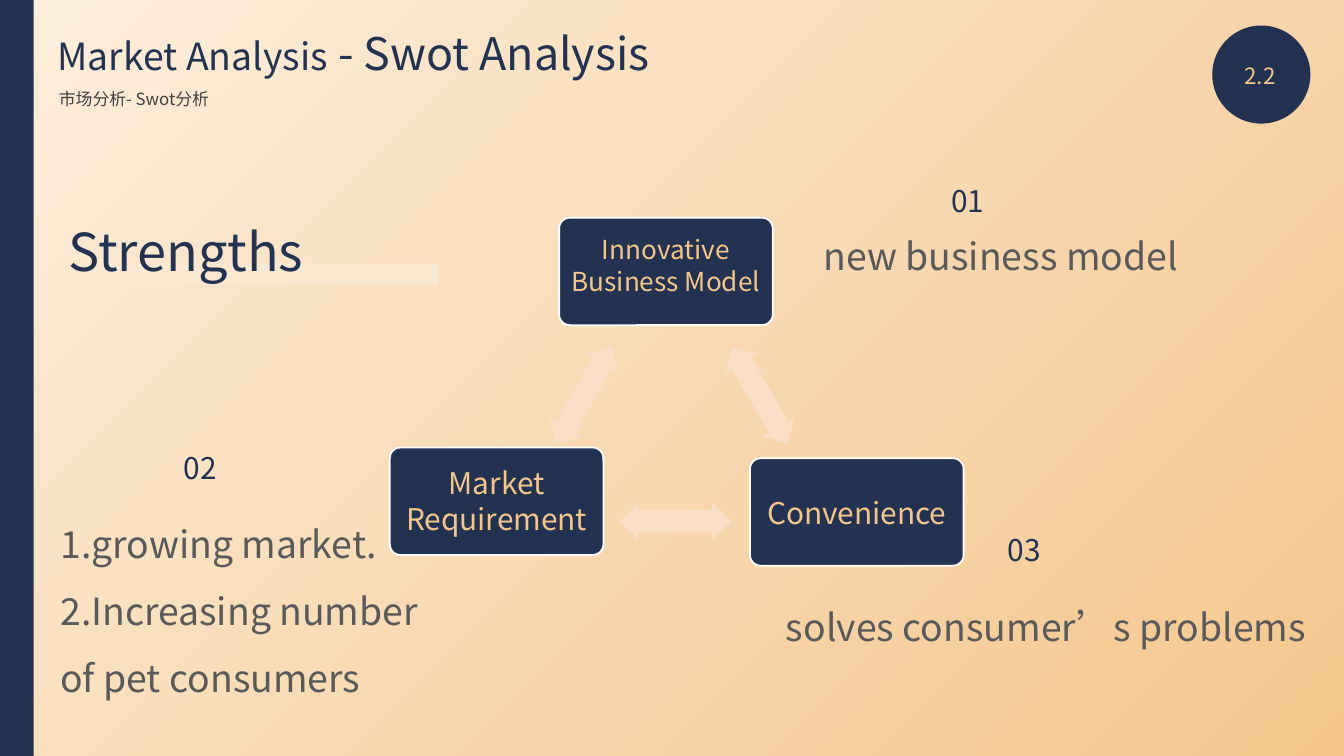
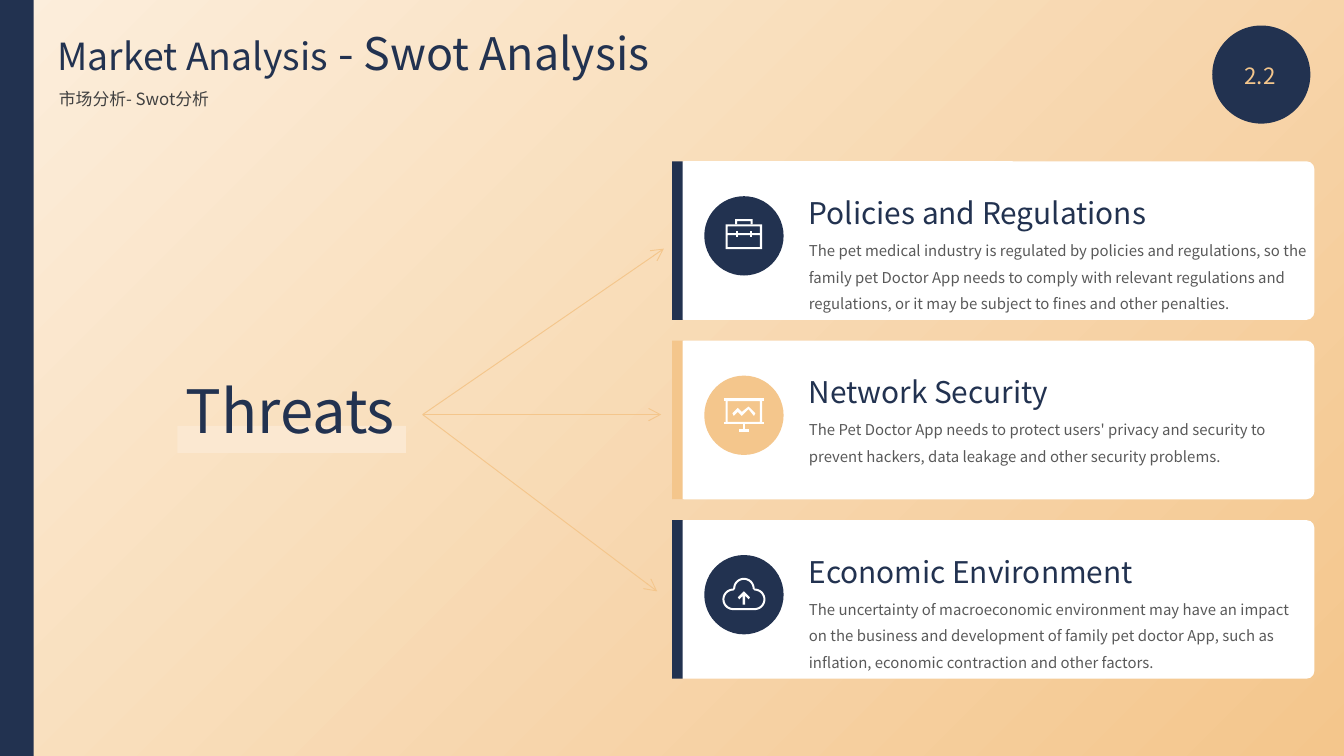
from math import cos, radians, sin

from lxml.etree import SubElement
from pptx import Presentation
from pptx.dml.color import RGBColor
from pptx.enum.shapes import MSO_CONNECTOR, MSO_SHAPE
from pptx.enum.text import PP_ALIGN
from pptx.oxml.ns import qn
from pptx.util import Inches, Pt

RECT, OVAL = MSO_SHAPE.RECTANGLE, MSO_SHAPE.OVAL
ROUND, ARROW = MSO_SHAPE.ROUNDED_RECTANGLE, MSO_SHAPE.LEFT_RIGHT_ARROW
LEFT, MID, RIGHT, FULL = PP_ALIGN.LEFT, PP_ALIGN.CENTER, PP_ALIGN.RIGHT, PP_ALIGN.JUSTIFY
STRAIGHT = MSO_CONNECTOR.STRAIGHT
FONT = "Noto Sans CJK SC"
HEX = {
    "navy": "223250",
    "gold": "F4C68C",
    "cream": "FCEEDC",
    "band": "FBE8D1",
    "peach": "F8DFC5",
    "white": "FFFFFF",
    "grey": "595959",
    "dark": "404040",
}
INK = {name: RGBColor.from_string(code) for name, code in HEX.items()}

deck = Presentation()
deck.slide_width, deck.slide_height = Inches(10), Inches(5.625)
CELL = deck.slide_width // 100
ROWS = 56.25


def draw(slide, kind, left, top, width, height, fill):
    shape = slide.shapes.add_shape(
        kind, *(round(n * CELL) for n in (left, top, width, height)))
    shape.shadow.inherit = False
    shape.fill.solid()
    shape.fill.fore_color.rgb = INK[fill]
    shape.line.fill.background()
    return shape


def write(slide, left, top, width, height, runs, size, ink, align=LEFT, space=None):
    box = slide.shapes.add_textbox(
        *(round(n * CELL) for n in (left, top, width, height)))
    box.text_frame.word_wrap = True
    para = box.text_frame.paragraphs[0]
    para.alignment = align
    para.line_spacing = space
    for text, own in runs if isinstance(runs, list) else [(runs, None)]:
        run = para.add_run()
        run.text = text
        if own:
            run.font.size = Pt(own)
    para.font.name = FONT
    para.font.size = Pt(size)
    para.font.color.rgb = INK[ink]
    SubElement(para._p.pPr.find(qn("a:defRPr")), qn("a:ea")).set("typeface", FONT)


pages = []
for _ in range(2):
    page = deck.slides.add_slide(deck.slide_layouts[6])
    back = page.background.fill
    back.gradient()
    back.gradient_angle = 135
    for stop, name, place in zip(back.gradient_stops, ("gold", "cream"), (0, 1)):
        stop.color.rgb = INK[name]
        stop.position = place
    draw(page, RECT, 0, 0, 2.5, ROWS, "navy")
    draw(page, OVAL, 90.2, 1.9, 7.3, 7.3, "navy")
    write(page, 90, 4.1, 7.5, 3, "2.2", 12, "gold", MID)
    title = [("Market Analysis", 20), (" - Swot Analysis", None)]
    write(page, 3.3, 1.4, 84, 5, title, 24, "navy")
    write(page, 3.4, 6.1, 17, 2.5, "市场分析- Swot分析", 9, "dark", FULL)
    pages.append(page)
plus, risk = pages

draw(plus, RECT, 4.5, 19.6, 28.1, 1.6, "band")
write(plus, 4.1, 15.8, 35.9, 5.7, "Strengths", 28, "navy")

nodes = [
    (41.6, 16.2, 0.7, 14, "Innovative Business Model"),
    (55.8, 34.1, 2.2, 16, "Convenience"),
    (29, 33.3, 0.8, 16, "Market Requirement"),
]
for left, top, drop, size, label in nodes:
    node = draw(plus, ROUND, left, top, 15.9, 8, "navy")
    node.adjustments[0] = 0.1
    node.line.color.rgb = INK["white"]
    node.line.width = Pt(1)
    write(plus, left - 1.65, top + drop, 19.2, 5.7, label, size, "gold", MID)

for left, top, turn in [(52.4, 28, 60), (46.1, 37.4, 0), (39.3, 28, 300)]:
    link = draw(plus, ARROW, left, top, 8.3, 2.8, "peach")
    link.adjustments[0] = 0.6
    link.adjustments[1] = 0.5
    link.rotation = turn

for left, top, width, label, align in [
    (69.8, 13.1, 19.2, "01", LEFT),
    (0, 33, 17.1, "02", RIGHT),
    (74, 39.1, 19.2, "03", LEFT),
]:
    write(plus, left, top, width, 3.7, label, 16, "navy", align)

for left, top, width, height, text in [
    (60.3, 15.2, 29.7, 5.5, "new business model"),
    (57.5, 42.8, 41, 11.3, "solves consumer’s problems"),
    (3.5, 36.6, 29.1, 18.3, "1.growing market. 2.Increasing number of pet consumers"),
]:
    write(plus, left, top, width, height, text, 20, "grey", LEFT, 1.5)

draw(risk, RECT, 13.2, 31.7, 17, 2, "band")
write(risk, 6.8, 27.3, 29.6, 5.4, "Threats", 32, "navy", MID)

sides = {
    "case": (-1.35, -0.85, 1.35, 1),
    "lid": (-1.2, -0.7, 1.2, -0.2),
    "base": (-1.2, -0.05, 1.2, 0.85),
    "grip": (-0.65, -1.25, 0.65, -0.85),
    "gap": (-0.5, -1.1, 0.5, -0.85),
    "tick": (-0.6, -0.35, -0.45, 0.1),
    "tock": (0.45, -0.35, 0.6, 0.1),
    "rail": (-1.5, -1.25, 1.5, -1.05),
    "frame": (-1.35, -1.05, 1.35, 0.65),
    "pane": (-1.2, -1.05, 1.2, 0.5),
    "sill": (-1.5, 0.5, 1.5, 0.65),
    "stem": (-0.1, 0.65, 0.1, 1.05),
    "foot": (-0.35, 1.05, 0.35, 1.25),
}
box = {name: [(l, t), (r, t), (r, b), (l, b)] for name, (l, t, r, b) in sides.items()}
chart = [(0.35, -0.65), (-0.15, -0.25), (-0.45, -0.55), (-0.85, -0.15), (-0.75, 0.05),
         (-0.45, -0.25), (-0.15, 0.05), (0.35, -0.45), (0.75, 0.05), (0.85, -0.15)]
rise = [(-0.45, 0.2), (-0.35, 0.35), (-0.1, 0.1), (-0.1, 0.75), (0.1, 0.75),
        (0.1, 0.1), (0.35, 0.35), (0.45, 0.2), (0, -0.25)]
cloud = [
    [(x + ray * cos(radians(turn)), y + ray * sin(radians(turn)))
     for x, y, start in [(-0.8, 0.35, 90), (0, -0.45, 180), (0.8, 0.35, 270)]
     for turn in range(start, start + 181, 10)]
    for ray in (0.8, 0.65)
]

cards = [
    ("Policies and Regulations", "navy",
     "The pet medical industry is regulated by policies and regulations, so the family "
     "pet Doctor App needs to comply with relevant regulations and regulations, or it "
     "may be subject to fines and other penalties.",
     [[box["case"], box["lid"], box["base"]], [box["grip"], box["gap"]],
      [box["tick"]], [box["tock"]]]),
    ("Network Security", "gold",
     "The Pet Doctor App needs to protect users' privacy and security to prevent "
     "hackers, data leakage and other security problems.",
     [[box["frame"], box["pane"]], [box["rail"]], [box["sill"]],
      [box["stem"]], [box["foot"]], [chart]]),
    ("Economic Environment", "navy",
     "The uncertainty of macroeconomic environment may have an impact on the business "
     "and development of family pet doctor App, such as inflation, economic "
     "contraction and other factors.",
     [cloud, [rise]]),
]
for row, (head, tint, text, icon) in enumerate(cards):
    top = 12 + 13.35 * row
    card = draw(risk, ROUND, 50.3, top, 47.5, 11.8, "white")
    card.adjustments[0] = 0.05
    draw(risk, RECT, 50, top, 0.8, 11.8, tint)
    draw(risk, OVAL, 52.4, top + 2.6, 5.9, 5.9, tint)
    write(risk, 59.2, top + 2, 32.9, 3.7, head, 16, "navy")
    write(risk, 59.2, top + 4.8, 39.2, 7.1, text, 8, "grey", LEFT, 1.5)
    for part in icon:
        pen = None
        for loop in part:
            dots = [((55.35 + x) * CELL, (top + 5.55 + y) * CELL) for x, y in loop]
            if pen is None:
                pen = risk.shapes.build_freeform(*dots[0])
            else:
                pen.move_to(*dots[0])
            pen.add_line_segments(dots[1:], close=True)
        form = pen.convert_to_shape()
        form.shadow.inherit = False
        form.fill.solid()
        form.fill.fore_color.rgb = INK["white"]
        form.line.fill.background()

for right, end in [(49.4, 18.5), (49.2, 30.85), (48.9, 44)]:
    ray = risk.shapes.add_connector(
        STRAIGHT, *(round(n * CELL) for n in (31.45, 30.85, right, end)))
    ray.line.color.rgb = INK["gold"]
    ray.line.width = Pt(0.5)
    SubElement(ray.line._get_or_add_ln(), qn("a:tailEnd")).set("type", "arrow")
    SubElement(ray._element.spPr, qn("a:effectLst"))

deck.save("out.pptx")
